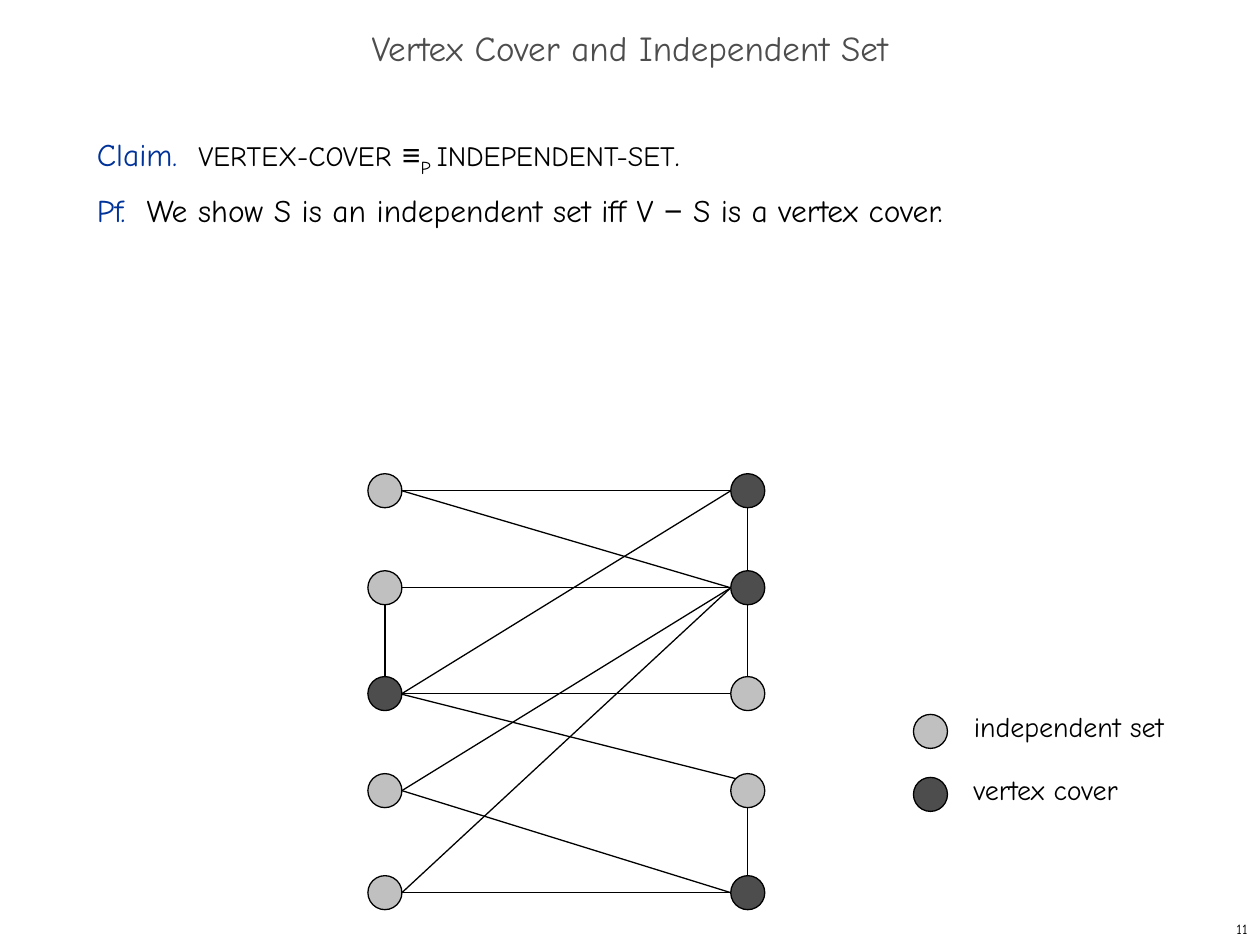
from lxml.etree import SubElement
from pptx import Presentation
from pptx.dml.color import RGBColor
from pptx.enum.shapes import MSO_CONNECTOR, MSO_SHAPE
from pptx.enum.text import MSO_ANCHOR, PP_ALIGN
from pptx.oxml.ns import qn
from pptx.util import Inches, Pt

# Content
FONT, SYMBOL_FONT = "Comic Neue", "Arial"
BLACK, BLUE, DARK, LIGHT = "000000", "003399", "4D4D4D", "C0C0C0"
TITLE = "Vertex Cover and Independent Set"
PAGE_NUMBER = "11"

# Each span: text, size, colour, font, baseline shift in percent
PROOF = [
    [("Claim.  ", 18, BLUE, FONT, 0),
     ("VERTEX-COVER", 16, BLACK, FONT, 0),
     (" ", 18, BLACK, FONT, 0),
     ("≡", 18, BLACK, SYMBOL_FONT, 0),
     ("P ", 18, BLACK, FONT, -25),
     ("INDEPENDENT-SET", 16, BLACK, FONT, 0),
     (".", 18, BLACK, FONT, 0)],
    [("Pf.  ", 18, BLUE, FONT, 0),
     ("We show S is an independent set iff V ", 18, BLACK, FONT, 0),
     ("−", 18, BLACK, SYMBOL_FONT, 0),
     (" S is a vertex cover.", 18, BLACK, FONT, 0)],
]

# Graph: vertices are (side, row)
DIAMETER = 0.27
COLUMNS = {"left": 2.92, "right": 5.8}
ROWS = [3.76, 4.53, 5.37, 6.14, 6.95]
COVER = {("left", 2), ("right", 0), ("right", 1), ("right", 4)}
CROSS_EDGES = [(0, 0), (0, 1), (1, 1), (2, 0), (2, 2),
               (3, 1), (3, 4), (4, 1), (4, 4)]
SIDE_EDGES = [("left", 1), ("right", 0), ("right", 1), ("right", 3)]
CORNER_EDGE = (3.19, 5.51, 5.84, 6.18)  # meets its vertex at the upper left
LEGEND = [("independent set", LIGHT, 5.67, 1.71),
          ("vertex cover", DARK, 6.17, 1.36)]


def colour(value):
    return RGBColor.from_string(value)


def style(font, size, value, name=FONT):
    font.size = Pt(size)
    font.name = name
    font.color.rgb = colour(value)


def add_text(page, left, top, width, height, text="", size=16):
    box = page.shapes.add_textbox(Inches(left), Inches(top), Inches(width), Inches(height))
    frame = box.text_frame
    frame.word_wrap = True
    if text:
        frame.text = text
        style(frame.paragraphs[0].runs[0].font, size, BLACK)
    return frame


def add_vertex(page, left, top, fill):
    vertex = page.shapes.add_shape(MSO_SHAPE.OVAL, Inches(left), Inches(top),
                                   Inches(DIAMETER), Inches(DIAMETER))
    vertex.shadow.inherit = False
    vertex.fill.solid()
    vertex.fill.fore_color.rgb = colour(fill)
    vertex.line.color.rgb = colour(BLACK)
    vertex.line.width = Pt(0.75)


def add_edge(page, *ends):
    edge = page.shapes.add_connector(MSO_CONNECTOR.STRAIGHT, *map(Inches, ends))
    edge.line.color.rgb = colour(BLACK)
    edge.line.width = Pt(0.75)
    SubElement(edge._element.spPr, qn("a:effectLst"))


def main():
    deck = Presentation()
    deck.slide_width, deck.slide_height = Inches(10), Inches(7.5)
    page = deck.slides.add_slide(deck.slide_layouts[5])

    # Title
    title = page.shapes.title
    title.left, title.top = Inches(0), Inches(0.17)
    title.width, title.height = Inches(10), Inches(0.5)
    title.text_frame.text = TITLE
    title.text_frame.vertical_anchor = MSO_ANCHOR.MIDDLE
    heading = title.text_frame.paragraphs[0]
    heading.alignment = PP_ALIGN.CENTER
    heading.line_spacing = 0.7
    style(heading.runs[0].font, 20, DARK)

    # Claim and proof
    frame = add_text(page, 0.67, 1, 8.58, 5.92)
    for index, spans in enumerate(PROOF):
        paragraph = frame.add_paragraph() if index else frame.paragraphs[0]
        paragraph.line_spacing = Pt(26)
        paragraph.space_before = Pt(3 if index else 0)
        for text, size, value, name, shift in spans:
            span = paragraph.add_run()
            span.text = text
            style(span.font, size, value, name)
            if shift:
                span.font._element.set("baseline", str(shift * 1000))

    # Edges
    radius = DIAMETER / 2
    for start, end in CROSS_EDGES:
        add_edge(page, COLUMNS["left"] + DIAMETER, ROWS[start] + radius,
                 COLUMNS["right"], ROWS[end] + radius)
    for side, row in SIDE_EDGES:
        middle = COLUMNS[side] + radius
        add_edge(page, middle, ROWS[row] + DIAMETER, middle, ROWS[row + 1])
    add_edge(page, *CORNER_EDGE)

    # Vertices
    for side, left in COLUMNS.items():
        for row, top in enumerate(ROWS):
            add_vertex(page, left, top, DARK if (side, row) in COVER else LIGHT)

    # Legend
    for label, fill, top, width in LEGEND:
        add_vertex(page, 7.25, top, fill)
        add_text(page, 7.63, top - 0.09, width, 0.37, label).word_wrap = False

    # Page number
    number = add_text(page, 7.92, 7.25, 2.08, 0.25, PAGE_NUMBER, 8)
    number.vertical_anchor = MSO_ANCHOR.MIDDLE
    number.paragraphs[0].alignment = PP_ALIGN.RIGHT

    deck.save("out.pptx")


if __name__ == "__main__":
    main()
